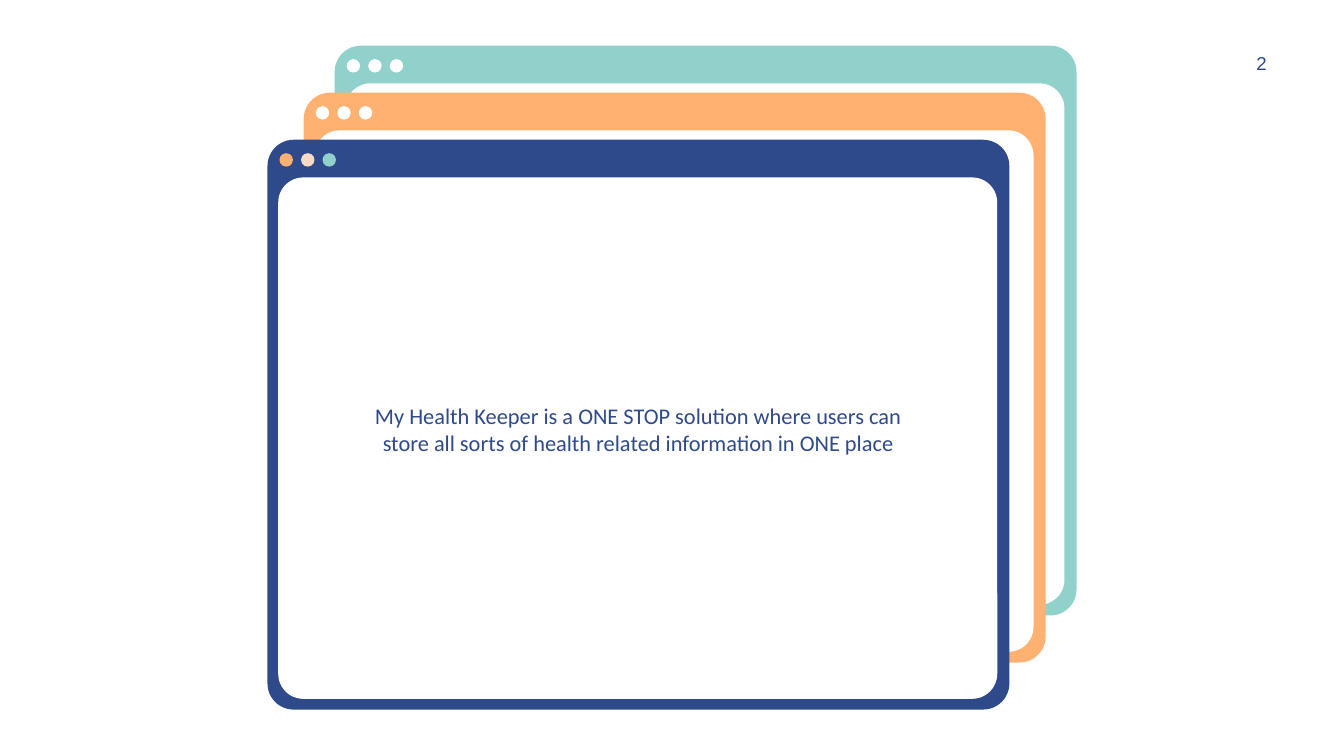
from pptx import Presentation
from pptx.dml.color import RGBColor
from pptx.enum.shapes import MSO_SHAPE
from pptx.enum.text import MSO_ANCHOR, PP_ALIGN
from pptx.util import Inches, Pt

ROUNDED = MSO_SHAPE.ROUNDED_RECTANGLE
OVAL = MSO_SHAPE.OVAL
MIDDLE, TOP = MSO_ANCHOR.MIDDLE, MSO_ANCHOR.TOP
CENTER, LEFT = PP_ALIGN.CENTER, PP_ALIGN.LEFT

NAVY, ORANGE, TEAL, PEACH, WHITE = "2F4A8A", "FFB172", "90D1CB", "F8DBC4", "FFFFFF"
SLIDE_WIDTH = 10
DOT_SIZE = 0.1
DOT_PITCH = 0.16

# left, top, frame colour, dot colours; from back to front
WINDOWS = [
    (2.49, 0.34, TEAL, [WHITE] * 3),
    (2.26, 0.69, ORANGE, [WHITE] * 3),
    (1.99, 1.04, NAVY, [ORANGE, PEACH, TEAL]),
]


def rgb(color):
    return RGBColor.from_string(color)


def add_filled(slide, kind, left, top, width, height, color, corner=None):
    shape = slide.shapes.add_shape(
        kind, Inches(left), Inches(top), Inches(width), Inches(height))
    shape.shadow.inherit = False
    shape.fill.solid()
    shape.fill.fore_color.rgb = rgb(color)
    shape.line.fill.background()
    if corner is not None:
        shape.adjustments[0] = corner


def add_window(slide, left, top, frame_color, dot_colors):
    """Draw a browser-like window: frame, white pane and title-bar dots."""
    add_filled(slide, ROUNDED, left, top, 5.52, 4.24, frame_color, 0.046)
    add_filled(slide, ROUNDED, left + 0.08, top + 0.28, 5.35, 3.88, WHITE, 0.048)
    for i, color in enumerate(dot_colors):
        add_filled(slide, OVAL, left + 0.09 + i * DOT_PITCH, top + 0.1,
                   DOT_SIZE, DOT_SIZE, color)


def add_text(slide, text, left, top, width, height, *, font, size, color,
             align=LEFT, anchor=TOP, wrap=True, inset=0.05):
    box = slide.shapes.add_textbox(
        Inches(left), Inches(top), Inches(width), Inches(height))
    frame = box.text_frame
    frame.word_wrap = wrap
    frame.vertical_anchor = anchor
    frame.margin_left = frame.margin_right = Inches(0.1)
    frame.margin_top = frame.margin_bottom = Inches(inset)
    paragraph = frame.paragraphs[0]
    paragraph.alignment = align
    run = paragraph.add_run()
    run.text = text
    run.font.name = font
    run.font.size = Pt(size)
    run.font.color.rgb = rgb(color)


def main():
    prs = Presentation()
    prs.slide_width = Inches(SLIDE_WIDTH)
    prs.slide_height = Inches(SLIDE_WIDTH * 9 / 16)
    slide = prs.slides.add_slide(prs.slide_layouts[6])

    for window in WINDOWS:
        add_window(slide, *window)

    add_text(slide,
             "My Health Keeper is a ONE STOP solution where users can store "
             "all sorts of health related information in ONE place",
             2.54, 2.21, 4.42, 1.97, font="Calibri", size=12, color=NAVY,
             align=CENTER, anchor=MIDDLE, inset=0.1)
    add_text(slide, "2", 9.25, 0.34, 0.28, 0.27,
             font="Arial", size=10, color=NAVY, wrap=False)

    prs.save("out.pptx")


if __name__ == "__main__":
    main()
